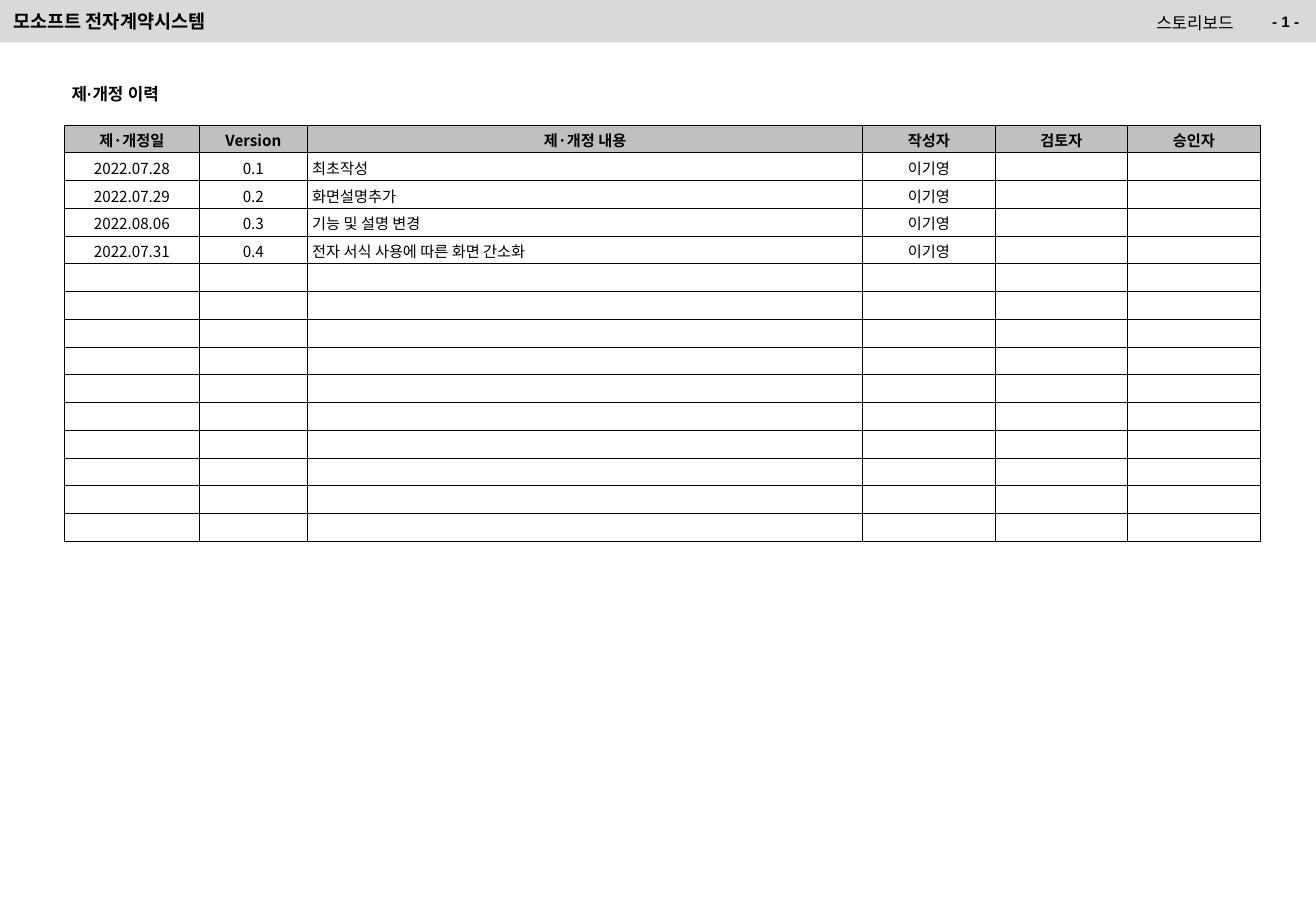
from lxml import etree
from pptx import Presentation
from pptx.dml.color import RGBColor
from pptx.enum import shapes, text
from pptx.oxml import ns
from pptx.util import Inches, Pt

SLIDE_SIZE = (10.83, 7.5)
HEADER_HEIGHT = 0.35
SANS, LATIN = "Noto Sans CJK KR", "Arial"
BLACK, BAR_GRAY, HEAD_GRAY = "000000", "D9D9D9", "C0C0C0"
LEFT, CENTER, RIGHT = text.PP_ALIGN.LEFT, text.PP_ALIGN.CENTER, text.PP_ALIGN.RIGHT

LABELS = [
    ("스토리보드", (7.52, 0.05, 2.73, 0.27), RIGHT, True, dict(name=SANS, size=Pt(10), bold=False)),
    ("모소프트 전자계약시스템", (0.01, 0.04, 7.52, 0.27), LEFT, True, dict(name=SANS, size=Pt(11), bold=True)),
    ("- 1 -", (10.01, 0.05, 0.78, 0.25), RIGHT, True, dict(name=LATIN, size=Pt(9), bold=True)),
    ("제·개정 이력", (0.49, 0.64, 0.99, 0.27), LEFT, False, dict(name=LATIN, size=Pt(10), bold=True)),
]

HISTORY = [
    ("제·개정일", "Version", "제·개정 내용", "작성자", "검토자", "승인자"),
    ("2022.07.28", "0.1", "최초작성", "이기영", "", ""),
    ("2022.07.29", "0.2", "화면설명추가", "이기영", "", ""),
    ("2022.08.06", "0.3", "기능 및 설명 변경", "이기영", "", ""),
    ("2022.07.31", "0.4", "전자 서식 사용에 따른 화면 간소화", "이기영", "", ""),
]
COLUMN_WIDTHS = (1.11, 0.89, 4.57, 1.09, 1.09, 1.09)
ROW_COUNT = 15
CONTENT_COLUMN = 2
TABLE_LEFT, TABLE_TOP, TABLE_HEIGHT = 0.53, 1.03, 3.43
CELL_FORMAT = dict(
    margin_left=Inches(0.04), margin_right=Inches(0.04),
    margin_top=Inches(0.03), margin_bottom=Inches(0.01),
    vertical_anchor=text.MSO_ANCHOR.MIDDLE,
)


def color(hex_value):
    return RGBColor.from_string(hex_value)


def apply(target, values):
    for name, value in values.items():
        setattr(target, name, value)


def write(paragraph, words, alignment, font_format):
    paragraph.alignment = alignment
    if not words:
        etree.SubElement(paragraph._p, ns.qn("a:endParaRPr"), sz=str(int(font_format["size"].pt * 100)))
        return
    run = paragraph.add_run()
    run.text = words
    apply(run.font, font_format)
    run.font.color.rgb = color(BLACK)
    etree.SubElement(run._r.get_or_add_rPr(), ns.qn("a:ea"), typeface=font_format["name"])


def draw_borders(cell):
    properties = cell._tc.get_or_add_tcPr()
    for index, side in enumerate(("lnL", "lnR", "lnT", "lnB")):
        line = etree.Element(ns.qn("a:" + side), w=str(Pt(0.5)))
        fill = etree.SubElement(line, ns.qn("a:solidFill"))
        etree.SubElement(fill, ns.qn("a:srgbClr"), val=BLACK)
        properties.insert(index, line)


def add_header_bar(slide):
    bar = slide.shapes.add_shape(
        shapes.MSO_SHAPE.RECTANGLE, 0, 0, Inches(SLIDE_SIZE[0]), Inches(HEADER_HEIGHT))
    bar.shadow.inherit = False
    bar.fill.solid()
    bar.fill.fore_color.rgb = color(BAR_GRAY)
    bar.line.fill.background()


def add_label(slide, words, box, alignment, wrap, font_format):
    frame = slide.shapes.add_textbox(*map(Inches, box)).text_frame
    apply(frame, dict(word_wrap=wrap, vertical_anchor=text.MSO_ANCHOR.MIDDLE))
    write(frame.paragraphs[0], words, alignment, font_format)


def add_history(slide):
    table = slide.shapes.add_table(
        ROW_COUNT, len(COLUMN_WIDTHS), Inches(TABLE_LEFT), Inches(TABLE_TOP),
        Inches(sum(COLUMN_WIDTHS)), Inches(TABLE_HEIGHT)).table
    apply(table, dict(first_row=False, horz_banding=False))
    for column, width in zip(table.columns, COLUMN_WIDTHS):
        column.width = Inches(width)
    blank_row = ("",) * len(COLUMN_WIDTHS)
    for row_index, row in enumerate(table.rows):
        row.height = Inches(TABLE_HEIGHT / ROW_COUNT)
        is_head = row_index == 0
        values = HISTORY[row_index] if row_index < len(HISTORY) else blank_row
        for column_index, words in enumerate(values):
            cell = table.cell(row_index, column_index)
            apply(cell, CELL_FORMAT)
            if is_head:
                cell.fill.solid()
                cell.fill.fore_color.rgb = color(HEAD_GRAY)
            else:
                cell.fill.background()
            draw_borders(cell)
            alignment = LEFT if column_index == CONTENT_COLUMN and not is_head else CENTER
            write(cell.text_frame.paragraphs[0], words, alignment,
                  dict(name=SANS, size=Pt(9), bold=is_head))


def main():
    presentation = Presentation()
    presentation.slide_width, presentation.slide_height = map(Inches, SLIDE_SIZE)
    slide = presentation.slides.add_slide(presentation.slide_layouts[6])
    add_header_bar(slide)
    add_history(slide)
    for label in LABELS:
        add_label(slide, *label)
    presentation.save("out.pptx")


if __name__ == "__main__":
    main()
